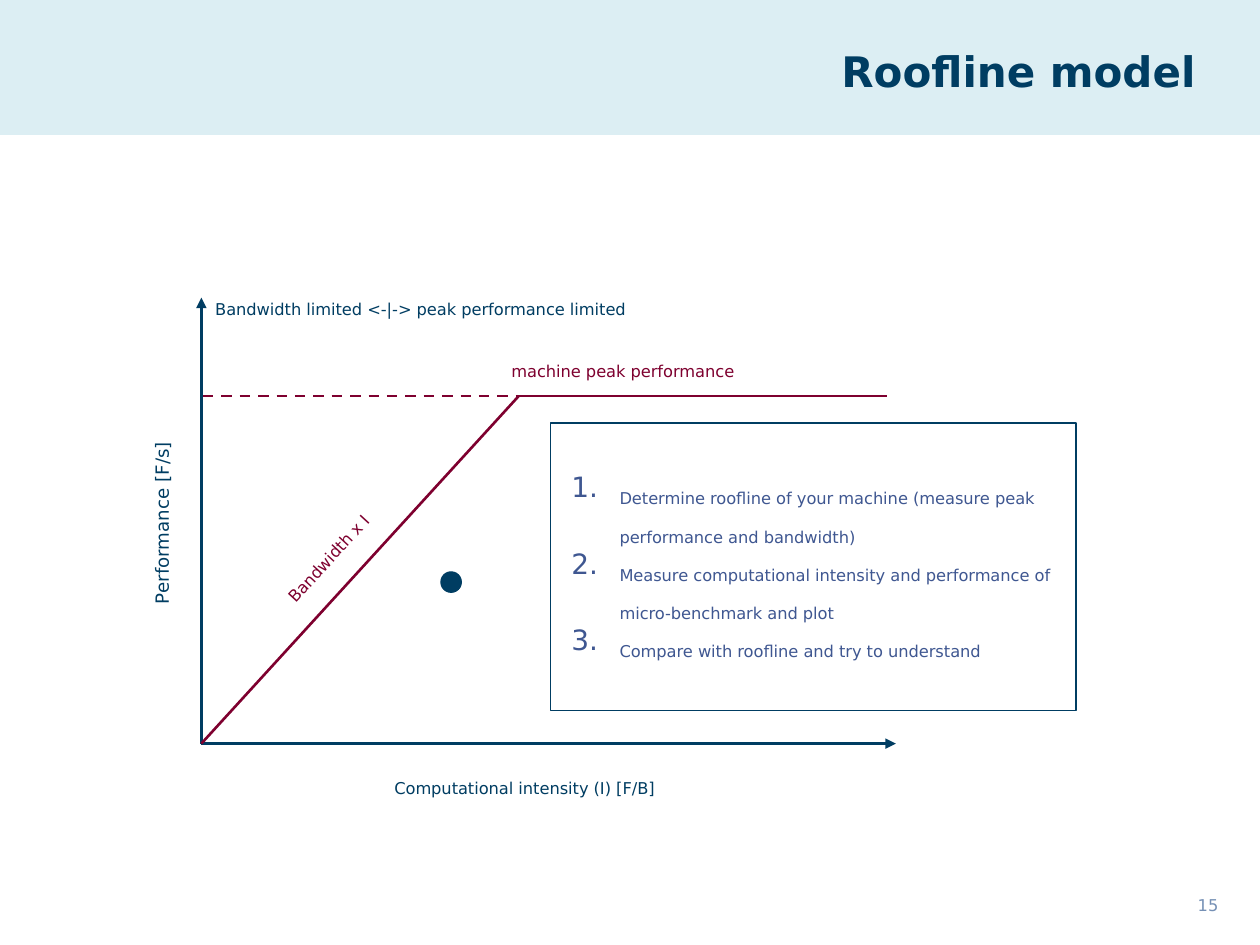
from dataclasses import dataclass

from lxml.etree import SubElement
from pptx import Presentation
from pptx.dml.color import RGBColor
from pptx.enum.dml import MSO_LINE
from pptx.enum.shapes import MSO_CONNECTOR, MSO_SHAPE
from pptx.enum.text import MSO_ANCHOR, MSO_AUTO_SIZE, PP_ALIGN
from pptx.oxml.ns import qn
from pptx.util import Cm, Pt


@dataclass(frozen=True)
class Theme:
    font: str = "DejaVu Sans"
    navy: str = "003D62"
    wine: str = "7E002F"
    band: str = "DCEEF3"
    steps: str = "3F5791"
    number: str = "7590B5"
    title_size: int = 24
    axis_size: int = 18
    text_size: int = 16
    thin: float = 0.75
    thick: float = 1.5


@dataclass(frozen=True)
class Box:
    """A region in centimetres."""
    left: float
    top: float
    width: float
    height: float

    def inner(self, left, top, width, height):
        return Box(self.left + left, self.top + top, width, height)

    def point(self, x, y):
        return Cm(self.left + x), Cm(self.top + y)

    def lengths(self):
        return [Cm(v) for v in (self.left, self.top, self.width, self.height)]


THEME = Theme()
STEPS = [
    "Determine roofline of your machine (measure peak performance and bandwidth)",
    "Measure computational intensity and performance of micro-benchmark and plot",
    "Compare with roofline and try to understand",
]


def add_text(page, box, lines, color, size=THEME.text_size, bold=False,
             lowered=True, align=PP_ALIGN.LEFT, margins=None, wrap=False):
    """Add a text box; lowered text is set as a subscript."""
    shape = page.shapes.add_textbox(*box.lengths())
    frame = shape.text_frame
    frame.text = "\n".join(lines)
    frame.word_wrap = wrap
    if margins is not None:
        frame.margin_left = frame.margin_right = Cm(margins[0])
        frame.margin_top = frame.margin_bottom = Cm(margins[1])
    for para in frame.paragraphs:
        para.alignment = align
        for span in para.runs:
            font = span.font
            font.name, font.size, font.bold = THEME.font, Pt(size), bold
            font.color.rgb = RGBColor.from_string(color)
            if lowered:
                span._r.get_or_add_rPr().set("baseline", "-25000")
    return shape


def add_label(page, box, text, color, size=THEME.text_size, rotation=0):
    label = add_text(page, box, [text], color, size)
    label.text_frame.auto_size = MSO_AUTO_SIZE.SHAPE_TO_FIT_TEXT
    label.rotation = rotation


def add_shape(page, kind, box, line, fill=None):
    shape = page.shapes.add_shape(kind, *box.lengths())
    shape.shadow.inherit = False
    if fill:
        shape.fill.solid()
        shape.fill.fore_color.rgb = RGBColor.from_string(fill)
    else:
        shape.fill.background()
    shape.line.color.rgb = RGBColor.from_string(line)
    shape.line.width = Pt(THEME.thin)


def add_line(page, start, end, color, arrow=False, dashed=False):
    line = page.shapes.add_connector(MSO_CONNECTOR.STRAIGHT, *start, *end)
    line.line.color.rgb = RGBColor.from_string(color)
    line.line.width = Pt(THEME.thick)
    if dashed:
        line.line.dash_style = MSO_LINE.DASH
    if arrow:
        SubElement(line.line._get_or_add_ln(), qn("a:tailEnd"), type="triangle")
    SubElement(line._element.spPr, qn("a:effectLst"))


def add_header(page, box):
    add_shape(page, MSO_SHAPE.RECTANGLE, box, THEME.band, THEME.band)
    title = add_text(page, box.inner(3.91, 0.56, 20.19, 1.75), ["Roofline model"],
                     THEME.navy, THEME.title_size, bold=True, lowered=False,
                     align=PP_ALIGN.RIGHT, margins=(0, 0), wrap=True)
    title.text_frame.vertical_anchor = MSO_ANCHOR.MIDDLE


def add_roofline(page, box):
    """Draw the plot; the box spans the two axes."""
    origin = box.point(0, box.height)
    knee = box.point(6.4, 1.98)
    add_line(page, origin, box.point(box.width, box.height), THEME.navy, arrow=True)
    add_line(page, origin, box.point(0, 0), THEME.navy, arrow=True)
    add_line(page, origin, knee, THEME.wine)
    add_line(page, knee, box.point(13.82, 1.98), THEME.wine)
    add_line(page, box.point(0.03, 1.98), knee, THEME.wine, dashed=True)

    add_label(page, box.inner(3.64, 9.19, 9.98, 0.94),
              "Computational intensity (I) [F/B]", THEME.navy)
    add_label(page, box.inner(-4.24, 2.74, 6.35, 1.02),
              "Performance [F/s]", THEME.navy, THEME.axis_size, rotation=270)
    add_label(page, box.inner(6, 0.78, 8.33, 0.94),
              "machine peak performance", THEME.wine)
    add_label(page, box.inner(0.74, 3.98, 4.5, 0.94),
              "Bandwidth x I", THEME.wine, rotation=312.6)
    add_label(page, box.inner(0.03, -0.46, 15.11, 0.94),
              "Bandwidth limited <-|-> peak performance limited", THEME.navy)
    add_shape(page, MSO_SHAPE.OVAL, box.inner(4.83, 5.53, 0.41, 0.41),
              THEME.navy, THEME.navy)


def add_steps(page, box):
    add_shape(page, MSO_SHAPE.RECTANGLE, box, THEME.navy)
    steps = add_text(page, box.inner(0, 0, box.width, 5.74), STEPS, THEME.steps,
                     margins=(0.2, 0.13), wrap=True)
    frame = steps.text_frame
    frame.vertical_anchor = MSO_ANCHOR.MIDDLE
    frame.auto_size = MSO_AUTO_SIZE.SHAPE_TO_FIT_TEXT
    for para in frame.paragraphs:
        props = para._p.get_or_add_pPr()
        props.set("marL", str(Cm(1.19)))
        props.set("indent", str(-Cm(0.97)))
        SubElement(props, qn("a:buFont"), typeface=THEME.font)
        SubElement(props, qn("a:buAutoNum"), type="arabicPeriod")


def add_page_number(page, box):
    add_text(page, box, ["15"], THEME.number, align=PP_ALIGN.RIGHT,
             margins=(0, 0), wrap=True)


def main():
    deck = Presentation()
    deck.slide_width, deck.slide_height = Cm(25.4), Cm(19.05)
    page = deck.slides.add_slide(deck.slide_layouts[6])
    add_header(page, Box(0, 0, 25.4, 2.72))
    add_page_number(page, Box(22.1, 17.68, 2.46, 1.07))
    add_roofline(page, Box(4.06, 6, 14, 8.99))
    add_steps(page, Box(11.1, 8.53, 10.59, 5.79))
    deck.save("out.pptx")


if __name__ == "__main__":
    main()
